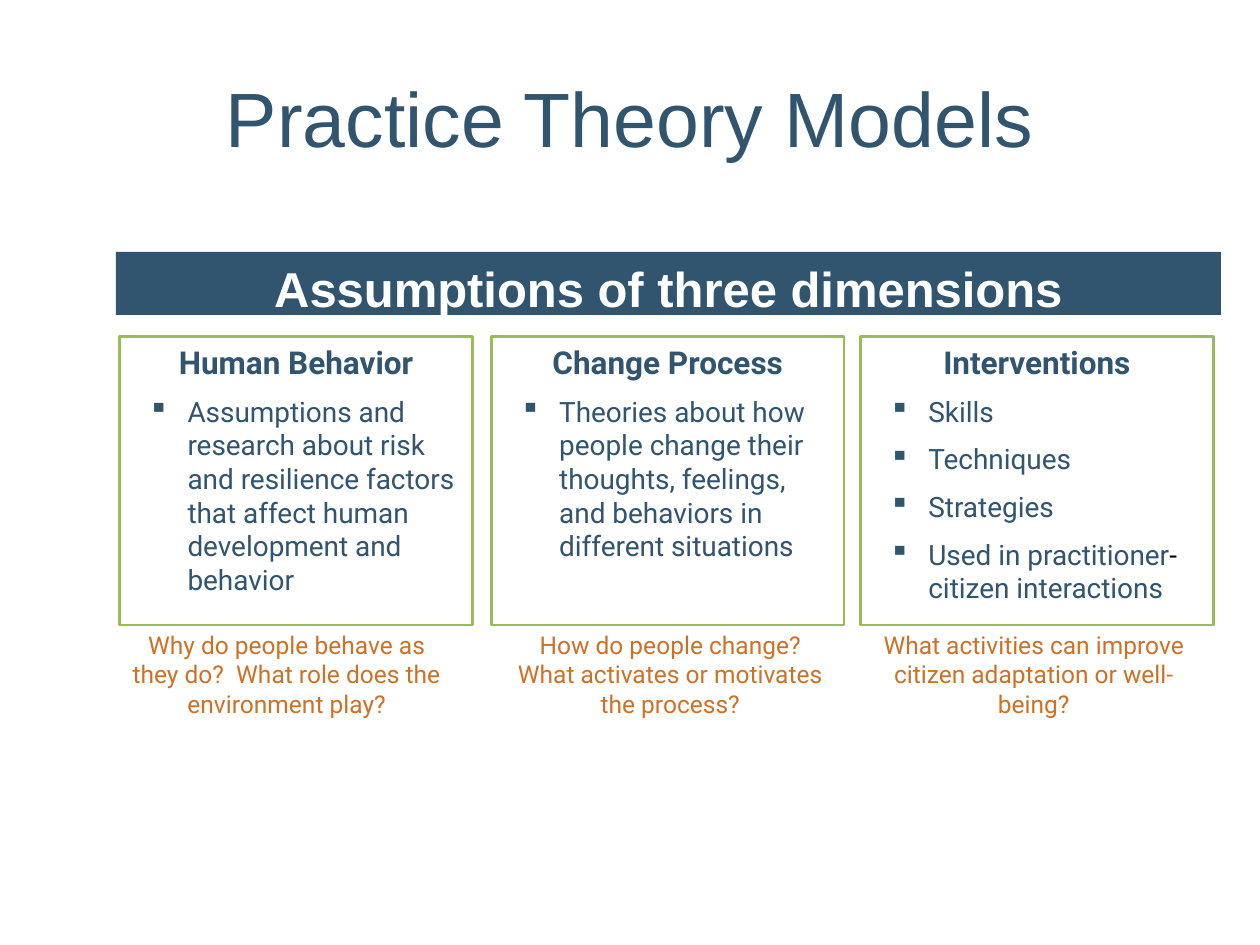
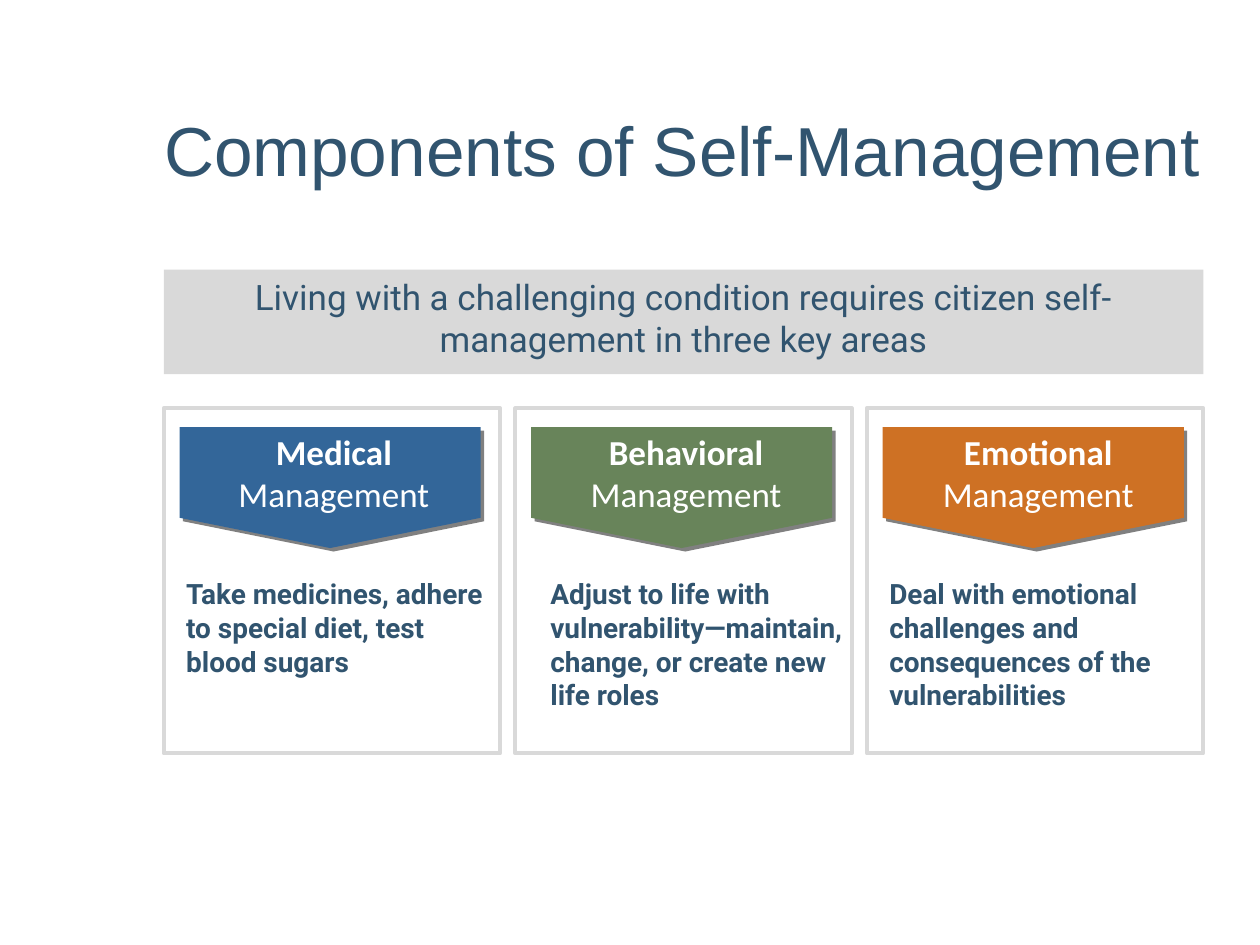
from lxml.etree import SubElement
from pptx import Presentation
from pptx.dml.color import RGBColor
from pptx.enum.shapes import MSO_SHAPE
from pptx.enum.text import MSO_ANCHOR, MSO_AUTO_SIZE, PP_ALIGN
from pptx.oxml.ns import qn
from pptx.util import Inches, Pt

NAVY, GREEN, ORANGE = "31546F", "9BBB59", "CE7124"
BLUE, OLIVE, SILVER, GRAY, WHITE, BLACK = "336699", "68845A", "D9D9D9", "808080", "FFFFFF", "000000"


def rgb(value):
    return RGBColor.from_string(value)


class Deck:
    title_font = "Arial"
    body_font = "Roboto"
    badge_font = "Calibri"

    def __init__(self):
        self.prs = Presentation()
        self.prs.slide_width, self.prs.slide_height = Inches(10), Inches(7.5)
        self.s = None

    def slide(self, title, box, size):
        self.s = self.prs.slides.add_slide(self.prs.slide_layouts[5])
        sp = self.s.shapes.title
        sp.left, sp.top, sp.width, sp.height = map(Inches, box)
        tf = self.frame(sp, anchor=MSO_ANCHOR.MIDDLE)
        self.para(tf, title, size, font=self.title_font)

    def frame(self, sp, anchor=MSO_ANCHOR.TOP, inset=None):
        tf = sp.text_frame
        tf.word_wrap = True
        tf.auto_size = MSO_AUTO_SIZE.NONE
        tf.vertical_anchor = anchor
        if inset is not None:
            tf.margin_left = tf.margin_top = tf.margin_right = tf.margin_bottom = Inches(inset)
        return tf

    def para(self, tf, runs, size, color=NAVY, font=body_font, bold=False,
             align=PP_ALIGN.CENTER, before=0):
        p = tf.paragraphs[0] if not tf.paragraphs[0].runs else tf.add_paragraph()
        p.alignment = align
        p.space_before = Pt(before)
        p.font.size, p.font.name, p.font.bold = Pt(size), font, bold
        p.font.color.rgb = rgb(color)
        for text, style in [(runs, {})] if isinstance(runs, str) else runs:
            r = p.add_run()
            r.text = text
            if "bold" in style:
                r.font.bold = style["bold"]
            if "color" in style:
                r.font.color.rgb = rgb(style["color"])
        return p

    def bullet(self, tf, runs):
        p = self.para(tf, runs, 16, align=PP_ALIGN.LEFT, before=8)
        pPr = p._p.get_or_add_pPr()
        pPr.set("marL", str(Inches(0.44)))
        pPr.set("indent", str(-Inches(0.31)))
        bu = pPr.makeelement(qn("a:buChar"), {"char": "▪"})
        pPr.find(qn("a:defRPr")).addprevious(bu)

    def shape(self, box, kind=MSO_SHAPE.RECTANGLE, fill=None, line=None, width=1.5):
        sp = self.s.shapes.add_shape(kind, *map(Inches, box))
        sp.shadow.inherit = False
        if fill:
            sp.fill.solid()
            sp.fill.fore_color.rgb = rgb(fill)
        else:
            sp.fill.background()
        if line:
            sp.line.color.rgb = rgb(line)
            sp.line.width = Pt(width)
        else:
            sp.line.fill.background()
        return sp

    def band(self, box, text, size, fill, before, **style):
        tf = self.frame(self.shape(box, fill=fill))
        self.para(tf, text, size, before=before, **style)

    def text(self, box, runs, size, inset=None, **style):
        sp = self.s.shapes.add_textbox(*map(Inches, box))
        self.para(self.frame(sp, inset=inset), runs, size, **style)

    def pointer(self, center_x, center_y, width, height, fill):
        box = (center_x - height / 2, center_y - width / 2, height, width)
        sp = self.shape(box, MSO_SHAPE.PENTAGON, fill)
        sp.adjustments[0] = 0.25
        sp.rotation = 90
        effects = sp._element.spPr.find(qn("a:effectLst"))
        shadow = SubElement(effects, qn("a:outerShdw"), dist=str(Pt(2.8)),
                            dir=str(45 * 60000), algn="ctr", rotWithShape="0")
        SubElement(shadow, qn("a:srgbClr"), val=GRAY)


def practice_models(deck):
    deck.slide("Practice Theory Models", (0.5, 0.3, 9, 1.25), 44)
    deck.band((0.92, 2, 8.77, 0.5), "Assumptions of three dimensions", 28, NAVY, 3,
              color=WHITE, font=deck.title_font, bold=True)
    dimensions = [
        (0.95, "Human Behavior",
         ["Assumptions and research about risk and resilience factors that affect "
          "human development and behavior"],
         1.05, 2.45, "Why do people behave as they do?  What role does the environment play?"),
        (3.9, "Change Process",
         ["Theories about how people change their thoughts, feelings, and behaviors "
          "in different situations"],
         4.06, 2.52, "How do people change? What activates or motivates the process?"),
        (6.83, "Interventions",
         ["Skills", "Techniques", "Strategies",
          [("Used in practitioner", {}), ("-", {"color": BLACK}), ("citizen interactions", {})]],
         6.83, 2.75, "What activities can improve citizen adaptation or well-being?"),
    ]
    for left, heading, points, question_left, question_width, question in dimensions:
        tf = deck.frame(deck.shape((left, 2.67, 2.8, 2.29), line=GREEN))
        deck.para(tf, heading, 18, bold=True)
        for point in points:
            deck.bullet(tf, point)
        deck.text((question_left, 5, question_width, 0.71), question, 14, inset=0, color=ORANGE)


def self_management(deck):
    deck.slide("Components of Self-Management", (0.75, 0.53, 9.33, 1.31), 39.6)
    deck.band((1.3, 2.14, 8.25, 0.83),
              "Living with a challenging condition requires citizen self-management "
              "in three key areas", 20, SILVER, 1)
    areas = [
        ("Medical ", BLUE, 1.65, 2, 1.38,
         "Take medicines, adhere to special diet, test blood sugars"),
        ("Behavioral ", OLIVE, 4.47, 1.95, 4.27,
         "Adjust to life with vulnerability—maintain, change, or create new life roles"),
        ("Emotional ", ORANGE, 7.2, 2.08, 6.96,
         "Deal with emotional challenges and consequences of the vulnerabilities"),
    ]
    for i, (area, fill, label_left, label_width, task_left, task) in enumerate(areas):
        offset = 2.79 * i
        deck.shape((1.3 + offset, 3.24, 2.67, 2.74), line=SILVER, width=2.25)
        deck.pointer(2.62 + offset, 3.87, 2.39, 0.96, fill)
        deck.text((label_left, 3.37, label_width, 0.77),
                  [(area, {"bold": True}), ("Management", {})], 20,
                  color=WHITE, font=deck.badge_font)
        deck.text((task_left, 4.53, 2.56, 1.18), task, 16, bold=True, align=PP_ALIGN.LEFT)


def main():
    deck = Deck()
    practice_models(deck)
    self_management(deck)
    deck.prs.save("out.pptx")


if __name__ == "__main__":
    main()
